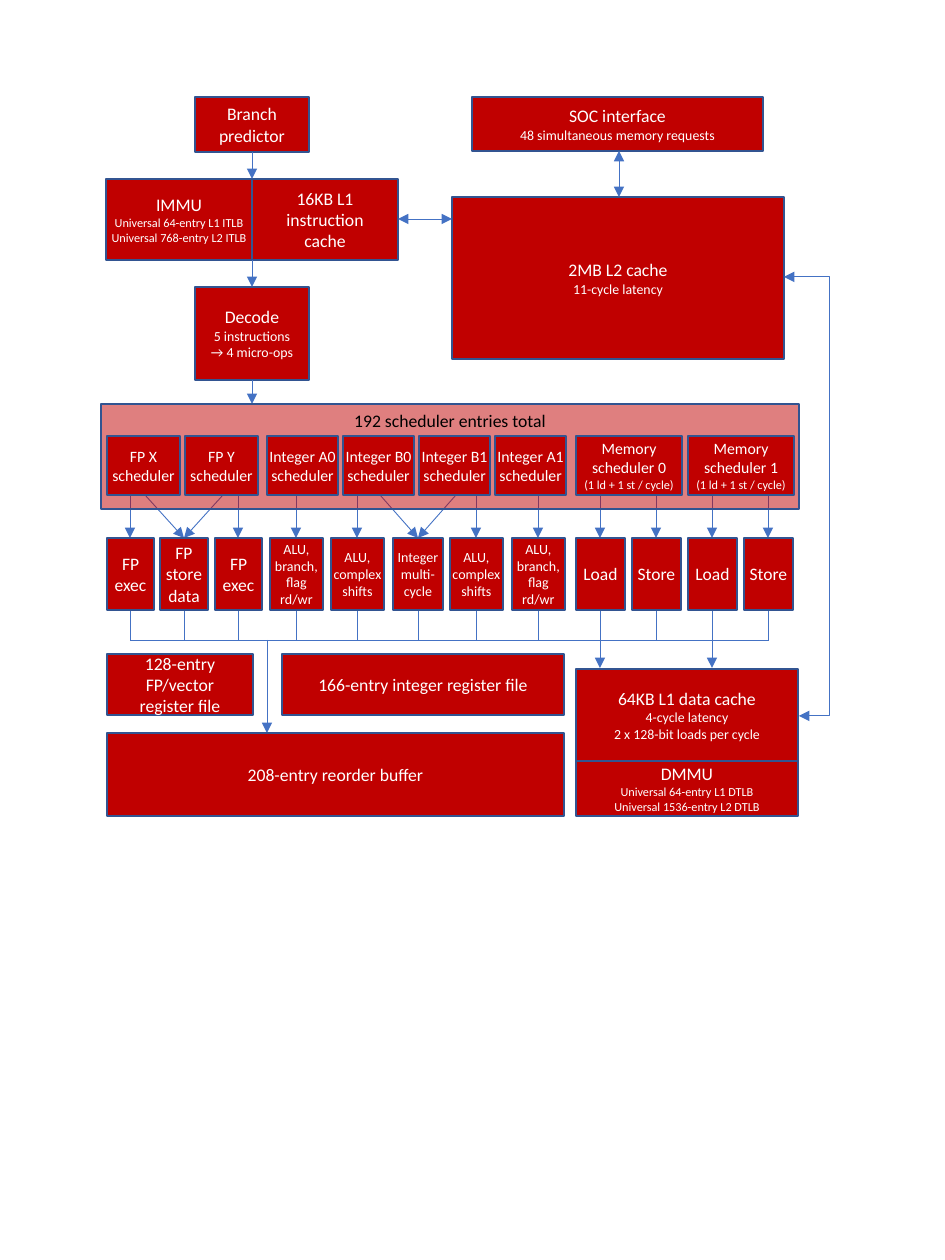
"""Block diagram of a processor core, from branch predictor to data cache."""
import lxml.etree
import pptx
import pptx.dml.color
import pptx.enum.shapes
import pptx.enum.text
import pptx.oxml.ns
import pptx.util

PX = 914400 / 126
RED, BORDER, WIRE = "C00000", "325491", "4472C4"
WHITE, BLACK = "FFFFFF", "000000"
TITLE, DETAIL, FINE = 10.1, 7.9, 7
ANCHOR = pptx.enum.text.MSO_ANCHOR
KIND = pptx.enum.shapes.MSO_CONNECTOR


def px(n):
    """Turn pixels into EMU."""
    return round(n * PX)


def color(hex_value):
    """Turn a hex string into a colour."""
    return pptx.dml.color.RGBColor.from_string(hex_value)


def apply(obj, **values):
    """Set each named attribute of an object."""
    for name, value in values.items():
        setattr(obj, name, value)


def child(parent, tag, **attrs):
    """Append a drawing element to an XML parent."""
    el = lxml.etree.SubElement(parent, pptx.oxml.ns.qn(tag))
    for name, value in attrs.items():
        el.set(name, str(value))
    return el


def block(s, x, y, w, h, lines, tight=False, anchor=ANCHOR.MIDDLE, ink=WHITE):
    """Draw a red box holding centred (text, size) lines."""
    sp = s.shapes.add_shape(pptx.enum.shapes.MSO_SHAPE.RECTANGLE, *map(px, (x, y, w, h)))
    sp.shadow.inherit = False
    sp.fill.solid()
    sp.fill.fore_color.rgb = color(RED)
    sp.line.color.rgb = color(BORDER)
    sp.line.width = pptx.util.Pt(1)
    tf = sp.text_frame
    apply(tf, word_wrap=True, vertical_anchor=anchor)
    if tight:
        apply(tf, margin_left=0, margin_right=0, margin_top=0, margin_bottom=0)
    for i, (text, size) in enumerate(lines):
        p = tf.add_paragraph() if i else tf.paragraphs[0]
        p.alignment = pptx.enum.text.PP_ALIGN.CENTER
        r = p.add_run()
        r.text = text
        apply(r.font, name="Calibri", size=pptx.util.Pt(size))
        r.font.color.rgb = color(ink)
    return sp


def wire(s, x1, y1, x2, y2, ends=(), kind=KIND.STRAIGHT):
    """Draw a thin connector with triangles at the named ends."""
    cx = s.shapes.add_connector(kind, *map(px, (x1, y1, x2, y2)))
    cx.line.color.rgb = color(WIRE)
    cx.line.width = pptx.util.Pt(0.5)
    for end in ends:
        child(cx.line._get_or_add_ln(), f"a:{end}End", type="triangle")
    child(cx._element.spPr, "a:effectLst")
    return cx


def front_end(s, x, y, w, h):
    """Draw prediction, instruction fetch and decode in a column."""
    mid, half = x + w // 2, w // 2
    block(s, mid - 57, y, 114, 55, [("Branch predictor", TITLE)])
    block(s, mid, y + 82, half, 81, [("16KB L1 instruction cache", TITLE)])
    block(s, mid - 57, y + 190, 114, 93,
          [("Decode", TITLE), ("5 instructions → 4 micro-ops", DETAIL)])
    block(s, x, y + 82, half, 81,
          [("IMMU", TITLE), ("Universal 64-entry L1 ITLB", FINE),
           ("Universal 768-entry L2 ITLB", FINE)], tight=True)
    for top, bottom in ((55, 82), (163, 190), (283, h)):
        wire(s, mid, y + top, mid, y + bottom, ["tail"])


def outer_memory(s, x, y, w, h):
    """Draw the SOC interface above the L2 cache, with their links."""
    both = ["head", "tail"]
    block(s, x + 20, y, 291, 54,
          [("SOC interface", TITLE), ("48 simultaneous memory requests", DETAIL)])
    block(s, x, y + 100, w, h - 100,
          [("2MB L2 cache", TITLE), ("11-cycle latency", DETAIL)])
    wire(s, x + w // 2 + 1, y + 100, x + w // 2 + 1, y + 54, both)
    wire(s, x - 54, y + 122, x, y + 122, both)


def execution(s, x, y, w, h):
    """Draw the execution units, their feeds and the result bus."""
    big, small = 10, 8
    units = [(0, 47, "FP exec", big), (53, 48, "FP store data", big),
             (108, 47, "FP exec", big), (163, 53, "ALU, branch, flag rd/wr", small),
             (224, 53, "ALU, complex shifts", small),
             (286, 50, "Integer multi-cycle", small),
             (343, 53, "ALU, complex shifts", small),
             (405, 53, "ALU, branch, flag rd/wr", small)]
    units += [(469 + 56 * i, 49, name, big)
              for i, name in enumerate(["Load", "Store"] * 2)]
    shared = {"FP store data": 39, "Integer multi-cycle": 38}
    bus = y + h
    for left, width, name, size in units:
        mid = x + left + width // 2
        spread = shared.get(name)
        for start in (mid - spread, mid + spread) if spread else (mid,):
            wire(s, start, y - 43, mid, y, ["tail"])
        if name == "Load":
            wire(s, mid, y + 73, mid, bus + 28, ["tail"])
        else:
            wire(s, mid, y + 73, mid, bus)
        block(s, x + left, y, width, 72, [(name, size)], tight=True)
    wire(s, x + w - 24, bus, x + 23, bus)
    wire(s, x + 160, bus, x + 160, bus + 93, ["tail"])


def schedulers(s, x, y, w, h):
    """Draw the translucent panel and the schedulers inside it."""
    panel = block(s, x, y, w, h, [("192 scheduler entries total", TITLE)],
                  anchor=ANCHOR.TOP, ink=BLACK)
    rgb = panel._element.spPr.find(".//" + pptx.oxml.ns.qn("a:srgbClr"))
    child(rgb, "a:alpha", val=50000)
    groups = [(6, 78, 73, ["FP X", "FP Y"]),
              (166, 76, 71, ["Integer A0", "Integer B0", "Integer B1", "Integer A1"])]
    for left, step, width, names in groups:
        for i, name in enumerate(names):
            block(s, x + left + step * i, y + 32, width, 59,
                  [(f"{name} scheduler", 9)], tight=True)
    for i in range(2):
        block(s, x + 475 + 112 * i, y + 32, 106, 59,
              [(f"Memory scheduler {i}", 9), ("(1 ld + 1 st / cycle)", FINE)], tight=True)


def retirement(s, x, y, w, h):
    """Draw the register files above the reorder buffer."""
    block(s, x + 175, y, w - 175, 61, [("166-entry integer register file", TITLE)])
    block(s, x, y, 146, 61, [("128-entry FP/vector register file", TITLE)])
    block(s, x, y + 79, w, h - 79, [("208-entry reorder buffer", TITLE)])


def data_memory(s, x, y, w, h):
    """Draw the L1 data cache above the data MMU."""
    block(s, x, y, w, h - 55,
          [("64KB L1 data cache", TITLE), ("4-cycle latency", DETAIL),
           ("2 x 128-bit loads per cycle", DETAIL)])
    block(s, x, y + h - 55, w, 55,
          [("DMMU", TITLE), ("Universal 64-entry L1 DTLB", FINE),
           ("Universal 1536-entry L2 DTLB", FINE)], tight=True)


def cache_link(s, x1, y1, x2, y2, bend):
    """Join the two caches by an elbow that turns at the bend."""
    cx = wire(s, x1, y1, x2, y2, ["head", "tail"], KIND.ELBOW)
    guides = cx._element.spPr.find(".//" + pptx.oxml.ns.qn("a:avLst"))
    turn = round((bend - x1) / (x2 - x1) * 100000)
    child(guides, "a:gd", name="adj1", fmla=f"val {turn}")


def main():
    """Build the slide and save it."""
    prs = pptx.Presentation()
    apply(prs, slide_width=px(945), slide_height=px(1260))
    s = prs.slides.add_slide(prs.slide_layouts[6])
    front_end(s, 106, 97, 292, 307)
    outer_memory(s, 452, 97, 332, 262)
    execution(s, 107, 538, 686, 102)
    schedulers(s, 101, 404, 698, 105)
    retirement(s, 107, 654, 457, 162)
    data_memory(s, 576, 669, 222, 147)
    cache_link(s, 799, 716, 784, 277, 830)
    prs.save("out.pptx")


if __name__ == "__main__":
    main()
